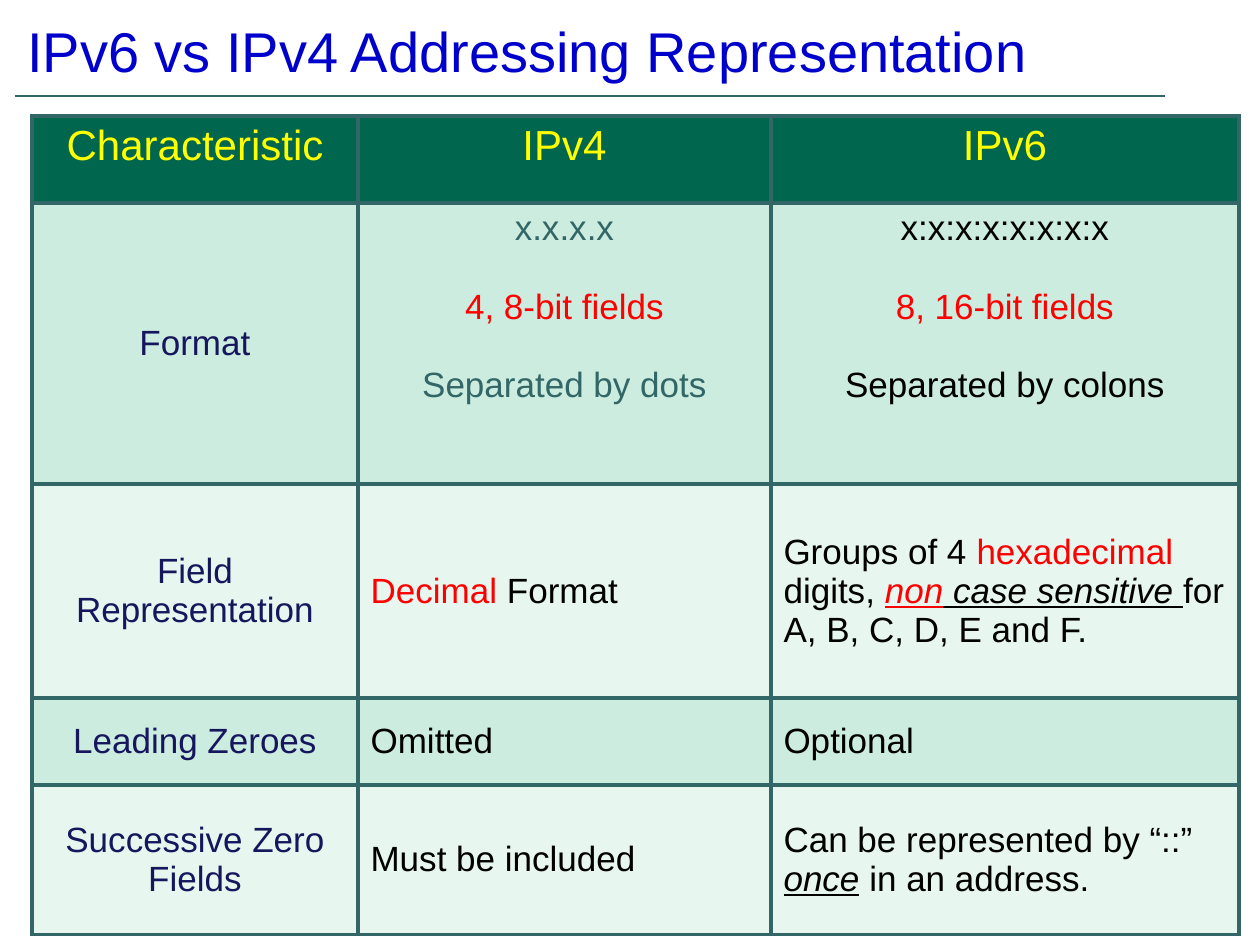
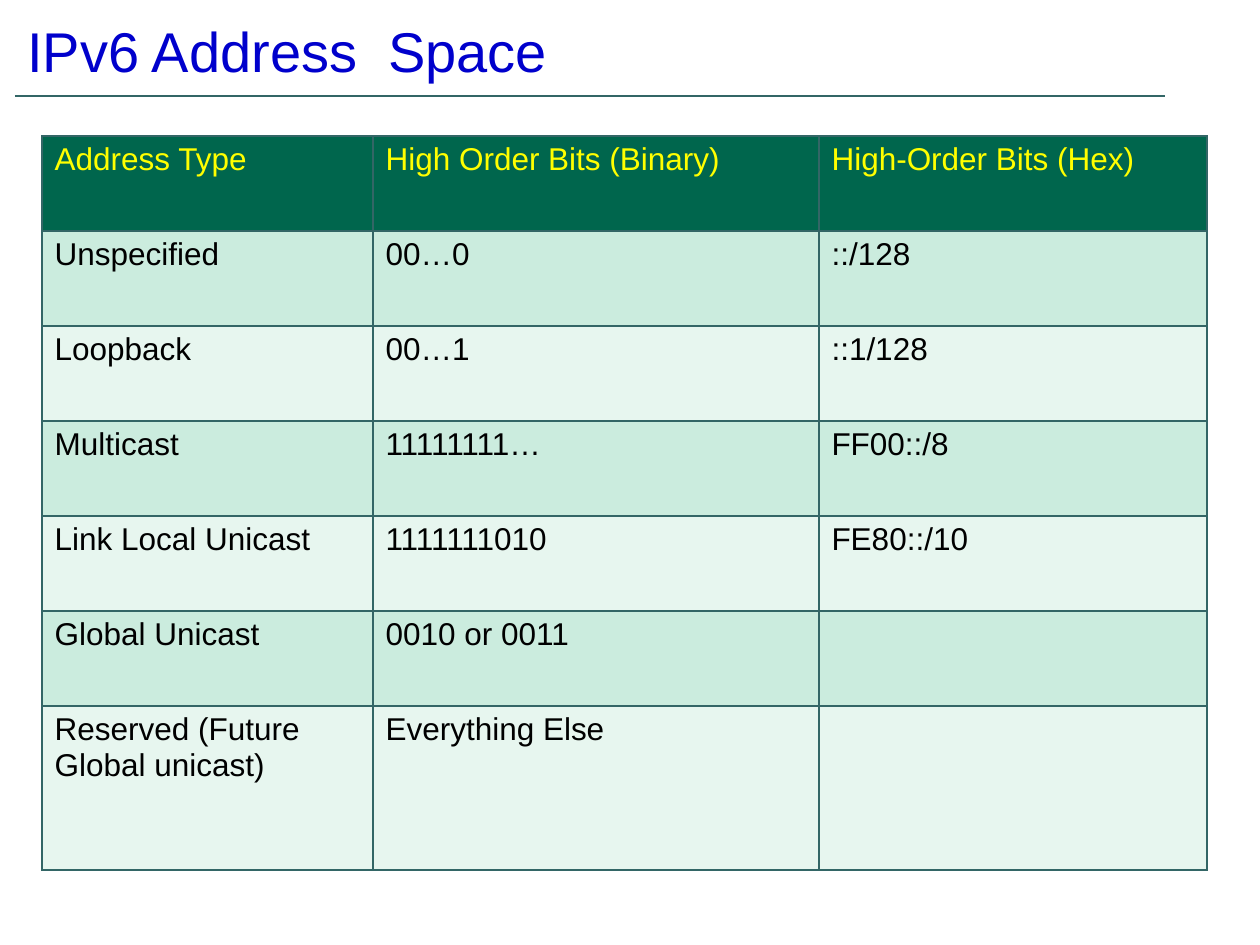
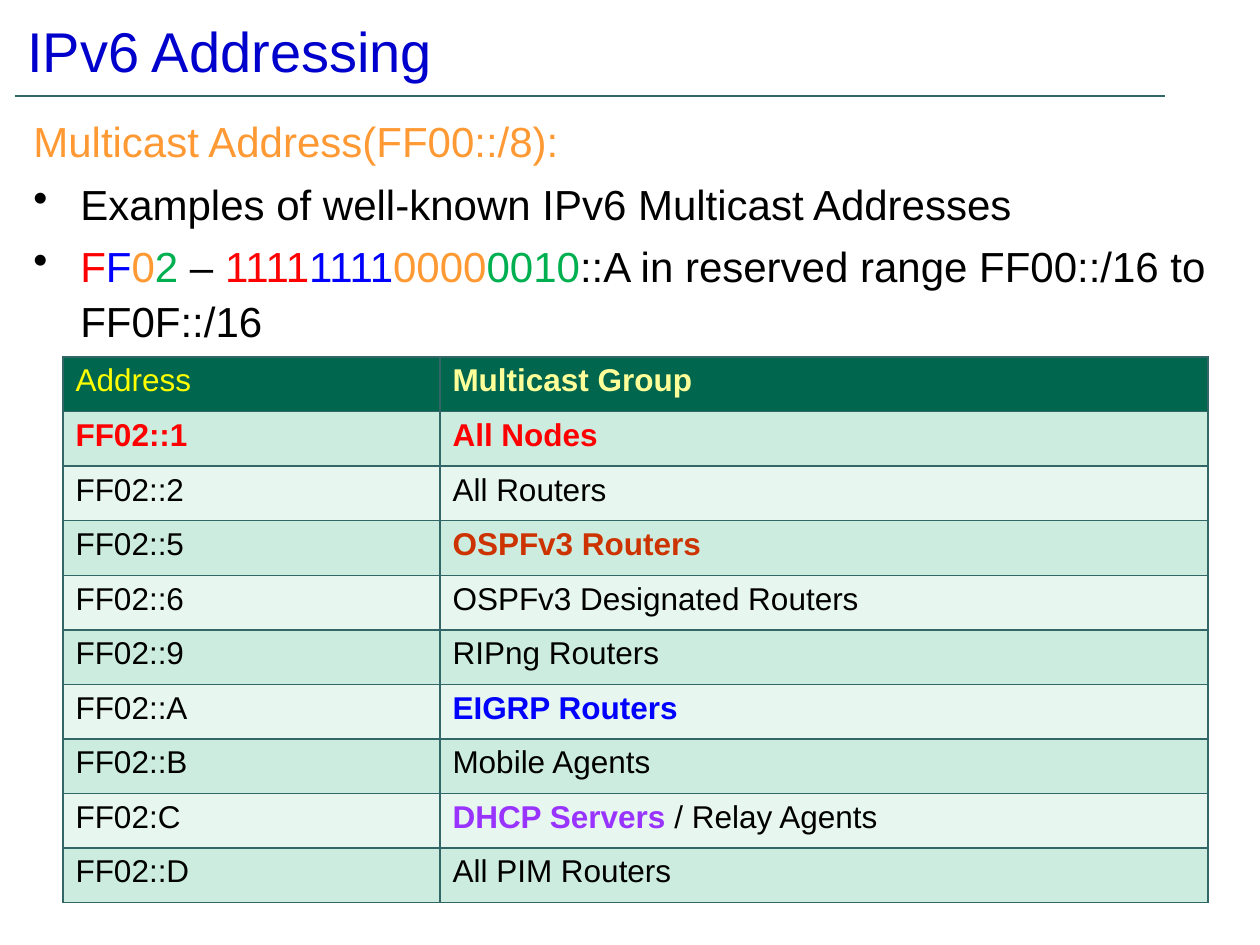
import dataclasses

import lxml.etree
import pptx
import pptx.dml.color
import pptx.enum.shapes
import pptx.enum.text
import pptx.oxml.ns
import pptx.util

ALIGN = pptx.enum.text.PP_ALIGN
ANCHOR = pptx.enum.text.MSO_ANCHOR
qn = pptx.oxml.ns.qn


@dataclasses.dataclass(frozen=True)
class Theme:
    font: str = "Arial"
    title: str = "0000CC"
    rule: str = "336666"
    header: str = "00664D"
    header_text: str = "FFFF00"
    header_pale: str = "FFFF99"
    bands: tuple = ("CBECDE", "E7F6EF")
    label: str = "16165D"
    text: str = "000000"
    red: str = "FF0000"
    blue: str = "0000FF"
    orange: str = "FF9933"
    green: str = "00B050"
    rust: str = "CC3300"
    violet: str = "9933FF"
    title_size: int = 32
    large_size: int = 24
    medium_size: int = 20
    small_size: int = 18
    rule_width: float = 0.75


@dataclasses.dataclass(frozen=True)
class Box:
    left: int
    top: int
    width: int
    height: int


@dataclasses.dataclass(frozen=True)
class Span:
    text: str
    color: str = ""
    bold: bool = False
    italic: bool = False
    underline: bool = False


@dataclasses.dataclass(frozen=True)
class Cell:
    paras: tuple
    color: str = ""
    size: int = 0
    align: ALIGN = ALIGN.LEFT
    anchor: ANCHOR = ANCHOR.TOP
    gap: float = 0


THEME = Theme()
PIXELS_PER_INCH = 126
PAGE = Box(0, 0, 1260, 945)
TITLE = Box(15, 16, 1150, 69)
RULE_TOP = 96


def emu(pixels):
    return pptx.util.Emu(round(pixels * 914400 / PIXELS_PER_INCH))


def place(box):
    return emu(box.left), emu(box.top), emu(box.width), emu(box.height)


def rgb(color):
    return pptx.dml.color.RGBColor.from_string(color)


def write_para(para, spans, size, color):
    if isinstance(spans, str):
        spans = [Span(spans)]
    para.font.name = THEME.font
    para.font.size = pptx.util.Pt(size)
    for span in spans:
        run = para.add_run()
        run.text = span.text
        run.font.color.rgb = rgb(span.color or color)
        run.font.bold = span.bold
        run.font.italic = span.italic
        run.font.underline = span.underline


def add_text_frame(page, box):
    frame = page.shapes.add_textbox(*place(box)).text_frame
    frame.word_wrap = True
    return frame


def add_title(page, box, text):
    frame = add_text_frame(page, box)
    frame.vertical_anchor = ANCHOR.MIDDLE
    write_para(frame.paragraphs[0], text, THEME.title_size, THEME.title)
    rule = page.shapes.add_connector(
        pptx.enum.shapes.MSO_CONNECTOR.STRAIGHT,
        emu(box.left), emu(RULE_TOP), emu(box.left + box.width), emu(RULE_TOP))
    rule.line.color.rgb = rgb(THEME.rule)
    rule.line.width = pptx.util.Pt(THEME.rule_width)
    lxml.etree.SubElement(rule._element.spPr, qn("a:effectLst"))


def add_bullet(para, indent):
    props = para._p.get_or_add_pPr()
    props.set("marL", str(emu(indent)))
    props.set("indent", str(-emu(indent)))
    color = lxml.etree.Element(qn("a:buClr"))
    lxml.etree.SubElement(color, qn("a:srgbClr"), val=THEME.text)
    mark = lxml.etree.Element(qn("a:buChar"), char="•")
    defaults = props.find(qn("a:defRPr"))
    defaults.addprevious(color)
    defaults.addprevious(mark)


def add_body(page, box, heading, bullets):
    frame = add_text_frame(page, box)
    for index, spans in enumerate([heading, *bullets]):
        para = frame.add_paragraph() if index else frame.paragraphs[0]
        para.line_spacing = 1.08
        para.space_before = pptx.util.Pt(0.2 * THEME.large_size if index else 0)
        write_para(para, spans, THEME.large_size, THEME.text if index else THEME.orange)
        if index:
            add_bullet(para, 47)


def add_borders(cell, width):
    props = cell._tc.get_or_add_tcPr()
    for side in ("lnL", "lnR", "lnT", "lnB"):
        line = lxml.etree.SubElement(props, qn(f"a:{side}"), w=str(pptx.util.Pt(width)))
        fill = lxml.etree.SubElement(line, qn("a:solidFill"))
        lxml.etree.SubElement(fill, qn("a:srgbClr"), val=THEME.rule)


def fill_cell(cell, content, size, color, fill, border):
    add_borders(cell, border)
    cell.fill.solid()
    cell.fill.fore_color.rgb = rgb(fill)
    cell.vertical_anchor = content.anchor
    for index, spans in enumerate(content.paras):
        para = cell.text_frame.add_paragraph() if index else cell.text_frame.paragraphs[0]
        para.alignment = content.align
        if index:
            para.space_before = pptx.util.Pt(content.gap)
        write_para(para, spans, content.size or size, content.color or color)


def share(length, weights):
    return [emu(length * weight / sum(weights)) for weight in weights]


def add_grid(page, box, rows, column_weights, row_weights, size, border):
    table = page.shapes.add_table(len(rows), len(column_weights), *place(box)).table
    table.first_row = False
    table.horz_banding = False
    for column, width in zip(table.columns, share(box.width, column_weights)):
        column.width = width
    for row, height in zip(table.rows, share(box.height, row_weights)):
        row.height = height
    for row_index, row in enumerate(rows):
        color = THEME.text if row_index else THEME.header_text
        fill = THEME.bands[(row_index - 1) % 2] if row_index else THEME.header
        for column_index, content in enumerate(row):
            if not isinstance(content, Cell):
                content = Cell((content,))
            fill_cell(table.cell(row_index, column_index), content, size, color, fill, border)


def heading(text):
    return Cell((text,), size=THEME.large_size, align=ALIGN.CENTER)


def label(text):
    return Cell((text,), THEME.label, align=ALIGN.CENTER, anchor=ANCHOR.MIDDLE)


def middle(*spans):
    return Cell((spans,), anchor=ANCHOR.MIDDLE)


def address_format(pattern, fields, separator, color):
    return Cell((pattern, [Span(fields, THEME.red)], separator), color,
                align=ALIGN.CENTER, gap=22.3)


def build_comparison(page, box):
    rows = [
        [heading("Characteristic"), heading("IPv4"), heading("IPv6")],
        [label("Format"),
         address_format("x.x.x.x", "4, 8-bit fields", "Separated by dots", THEME.rule),
         address_format("x:x:x:x:x:x:x:x", "8, 16-bit fields", "Separated by colons", THEME.text)],
        [label("Field Representation"),
         middle(Span("Decimal", THEME.red), Span(" Format")),
         middle(Span("Groups of 4 "), Span("hexadecimal ", THEME.red), Span("digits, "),
                Span("non", THEME.red, italic=True, underline=True),
                Span(" case sensitive", italic=True, underline=True),
                Span(" ", underline=True), Span("for A, B, C, D, E and F."))],
        [label("Leading Zeroes"), middle(Span("Omitted")), middle(Span("Optional"))],
        [label("Successive Zero Fields"), middle(Span("Must be included")),
         middle(Span("Can be represented by “::” "),
                Span("once", italic=True, underline=True), Span(" in an address."))],
    ]
    add_grid(page, box, rows, (326, 413, 468), (87, 281, 214, 87, 150), THEME.medium_size, 2.25)


def build_address_space(page, box):
    rows = [
        ["Address Type", "High Order Bits (Binary)", "High-Order Bits (Hex)"],
        ["Unspecified", "00…0", "::/128"],
        ["Loopback", "00…1", "::1/128"],
        ["Multicast", "11111111…", "FF00::/8"],
        ["Link Local Unicast", "1111111010", "FE80::/10"],
        ["Global Unicast", "0010 or 0011", ""],
        ["Reserved (Future Global unicast)", "Everything Else", ""],
    ]
    add_grid(page, box, rows, (331, 446, 388), [95] * 6 + [164], THEME.small_size, 1)


def build_multicast(page, box):
    digit_colors = (THEME.red, THEME.blue, THEME.orange, THEME.green)
    prefix = [
        *map(Span, "FF02", digit_colors),
        Span(" – "),
        *map(Span, ("1111", "1111", "0000", "0010"), digit_colors),
        Span("::A in reserved range FF00::/16 to FF0F::/16"),
    ]
    add_body(page, Box(box.left - 42, box.top - 252, 1200, 242), "Multicast Address(FF00::/8):",
             ["Examples of well-known IPv6 Multicast Addresses", prefix])
    rows = [
        ["Address", [Span("Multicast Group", THEME.header_pale, bold=True)]],
        [[Span("FF02::1", THEME.red, bold=True)], [Span("All Nodes", THEME.red, bold=True)]],
        ["FF02::2", "All Routers"],
        ["FF02::5", [Span("OSPFv3 Routers", THEME.rust, bold=True)]],
        ["FF02::6", "OSPFv3 Designated Routers"],
        ["FF02::9", "RIPng Routers"],
        ["FF02::A", [Span("EIGRP Routers", THEME.blue, bold=True)]],
        ["FF02::B", "Mobile Agents"],
        ["FF02:C", [Span("DHCP Servers ", THEME.violet, bold=True), Span("/ Relay Agents")]],
        ["FF02::D", "All PIM Routers"],
    ]
    add_grid(page, box, rows, (377, 768), [1] * len(rows), THEME.small_size, 1)


PAGES = [
    ("IPv6 vs IPv4 Addressing Representation", build_comparison, Box(32, 116, 1207, 819)),
    ("IPv6 Address  Space", build_address_space, Box(42, 136, 1165, 734)),
    ("IPv6 Addressing", build_multicast, Box(63, 357, 1145, 546)),
]

deck = pptx.Presentation()
deck.slide_width, deck.slide_height = emu(PAGE.width), emu(PAGE.height)
for title, build, box in PAGES:
    page = deck.slides.add_slide(deck.slide_layouts[6])
    add_title(page, TITLE, title)
    build(page, box)
deck.save("out.pptx")
